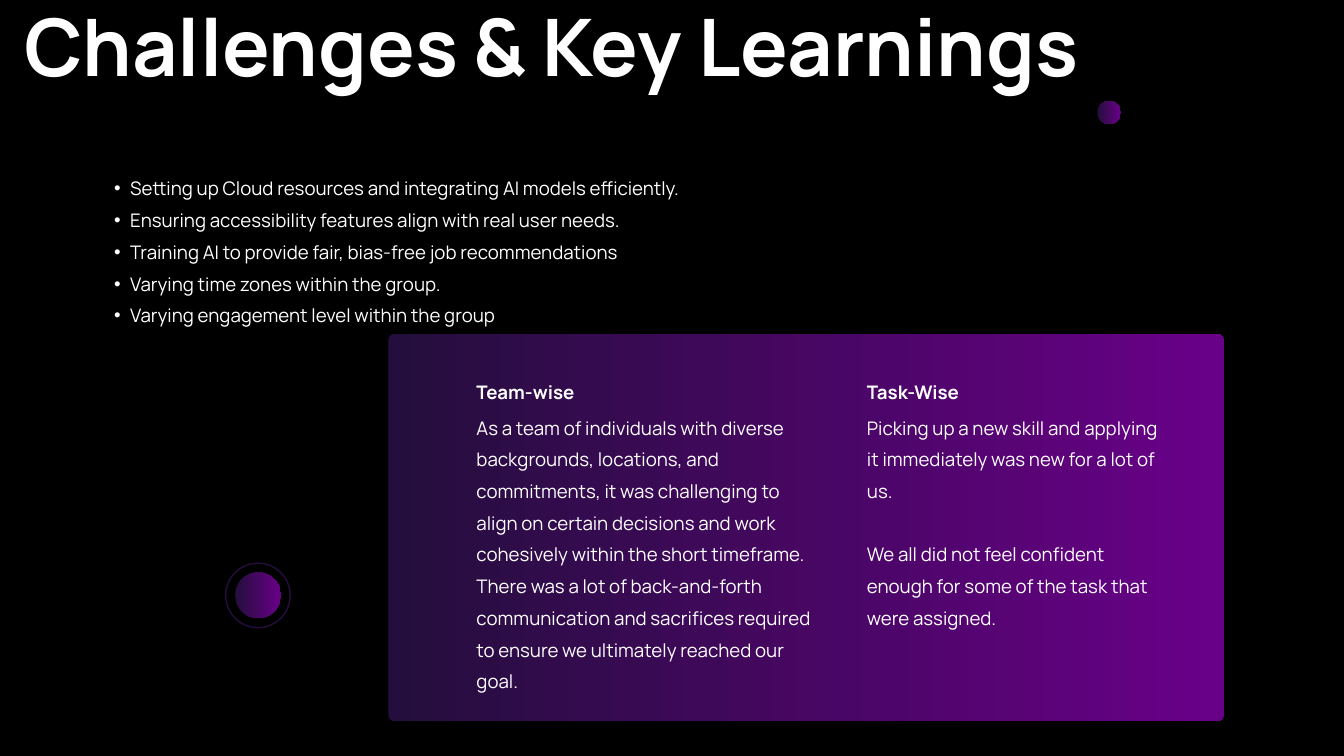
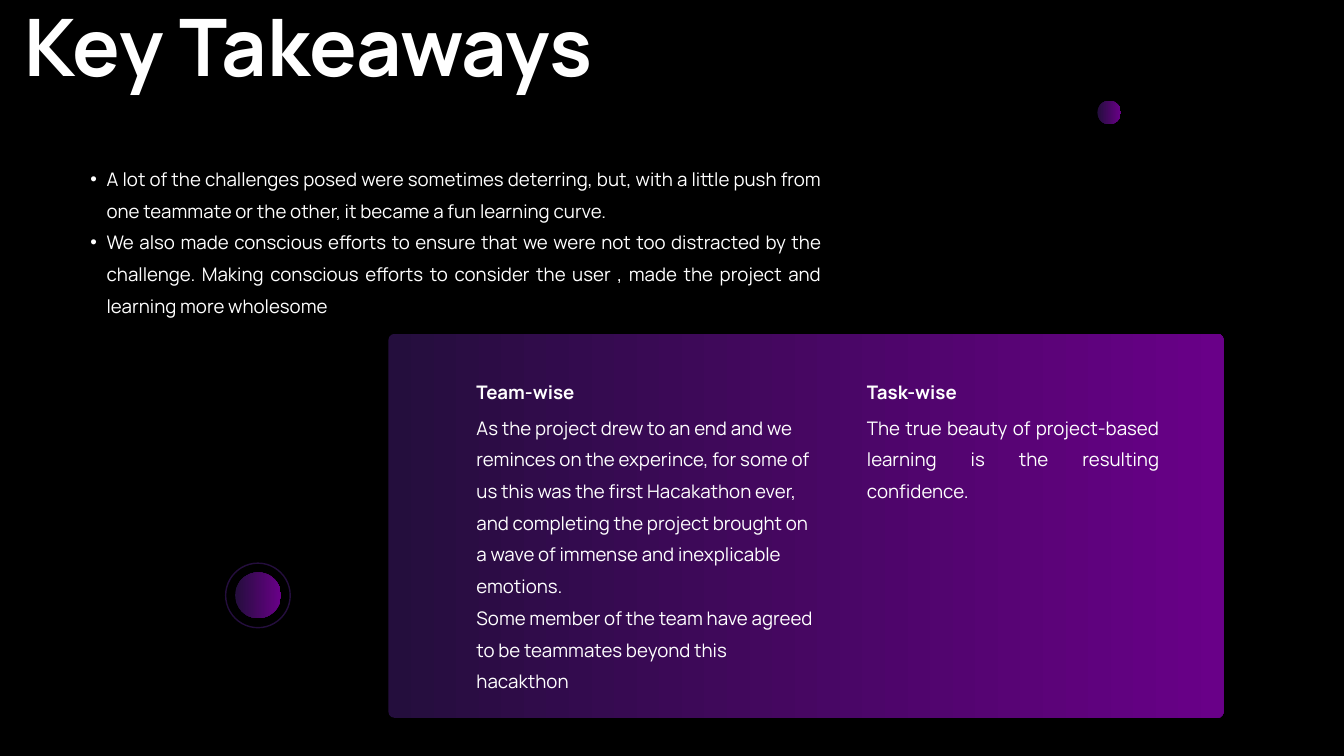
from lxml import etree
from pptx import Presentation
from pptx.dml.color import RGBColor
from pptx.enum.shapes import MSO_SHAPE
from pptx.enum.text import MSO_ANCHOR, MSO_AUTO_SIZE, PP_ALIGN
from pptx.oxml.ns import qn
from pptx.util import Cm, Pt

BLACK = RGBColor(0x00, 0x00, 0x00)
WHITE = RGBColor(0xFF, 0xFF, 0xFF)
INDIGO = RGBColor(0x24, 0x0E, 0x3D)
PURPLE = RGBColor(0x69, 0x00, 0x88)
FONT = "Manrope"
LEFT, JUSTIFY = PP_ALIGN.LEFT, PP_ALIGN.JUSTIFY
TOP, NO_FIT = MSO_ANCHOR.TOP, MSO_AUTO_SIZE.NONE
OVAL, ROUNDED = MSO_SHAPE.OVAL, MSO_SHAPE.ROUNDED_RECTANGLE

COLUMN_LEFTS = (18.01, 32.77)
COLUMN_WIDTHS = (13.08, 11.05)
HEADING_TOP, HEADING_HEIGHT = 14.27, 0.99
PASSAGE_TOP = 15.39
PANEL_RADIUS = 0.24

SLIDES = [
    {
        "title": "Challenges & Key Learnings",
        "points": [
            "Setting up Cloud resources and integrating AI models efficiently.",
            "Ensuring accessibility features align with real user needs.",
            "Training AI to provide fair, bias-free job recommendations",
            "Varying time zones within the group.",
            "Varying engagement level within the group",
        ],
        "points_box": (3.73, 6.35, 25.53, 7.14),
        "panel_height": 14.65,
        # heading, heading width, passages, passage height, alignment, gap in points
        "columns": [
            ("Team-wise", 6.86, [
                "As a team of individuals with diverse backgrounds, locations, and "
                "commitments, it was challenging to align on certain decisions and work "
                "cohesively within the short timeframe. There was a lot of back-and-forth "
                "communication and sacrifices required to ensure we ultimately reached "
                "our goal.",
            ], 10.72, LEFT, 0),
            ("Task-Wise", 5.13, [
                "Picking up a new skill and applying it immediately was new for a lot of us.",
                "We all did not feel confident enough for some of the task that were "
                "assigned.",
            ], 8.33, LEFT, 34),
        ],
    },
    {
        "title": "Key Takeaways",
        "points": [
            "A lot of the challenges posed were sometimes deterring, but, with a little "
            "push from one teammate or the other, it became a fun learning curve.",
            "We also made conscious efforts to ensure that we were not too distracted by "
            "the challenge. Making conscious efforts to consider the user , made the "
            "project and learning more wholesome",
        ],
        "points_box": (2.84, 5.99, 28.22, 5.94),
        "panel_height": 14.52,
        "columns": [
            ("Team-wise", 6.02, [
                "As the project drew to an end and we reminces on the experince, for some "
                "of us this was the first Hacakathon ever, and completing the project "
                "brought on a wave of immense and inexplicable emotions.",
                "Some member of the team have agreed to be teammates beyond this hacakthon",
            ], 10.72, LEFT, 0),
            ("Task-wise", 5.54, [
                "The true beauty of project-based learning is the resulting confidence.",
            ], 3.56, JUSTIFY, 0),
        ],
    },
]


def write(holder, paragraphs, box, size=20, spacing=34, bold=False, align=LEFT,
          gap=0, bullet=False):
    """Place a placeholder or text box and fill it with formatted paragraphs."""
    holder.left, holder.top, holder.width, holder.height = map(Cm, box)
    frame = holder.text_frame
    frame.margin_left = frame.margin_top = frame.margin_right = frame.margin_bottom = 0
    frame.word_wrap = True
    frame.auto_size = NO_FIT
    frame.vertical_anchor = TOP
    for number, words in enumerate(paragraphs):
        paragraph = frame.add_paragraph() if number else frame.paragraphs[0]
        if bullet:
            paragraph.level = 1
            properties = paragraph._p.get_or_add_pPr()
            properties.set("marL", str(Cm(1.19)))
            properties.set("indent", str(Cm(-0.61)))
            etree.SubElement(properties, qn("a:buFont")).set("typeface", "Arial")
            etree.SubElement(properties, qn("a:buChar")).set("char", "•")
        paragraph.alignment = align
        paragraph.line_spacing = Pt(spacing)
        paragraph.space_before = Pt(gap if number else 0)
        paragraph.space_after = Pt(0)
        run = paragraph.add_run()
        run.text = words
        run.font.name = FONT
        run.font.size = Pt(size)
        run.font.bold = bold
        run.font.color.rgb = WHITE


def add_gradient_shape(slide, preset, box, outline=False):
    """Add a shape whose fill, or outline, runs from indigo to purple."""
    shape = slide.shapes.add_shape(preset, *map(Cm, box))
    shape.shadow.inherit = False
    if outline:
        shape.fill.background()
        shape.line.width = Pt(1.5)
        shape.line.fill.solid()
    else:
        shape.line.fill.background()
        shape.fill.solid()
    gradient = etree.Element(qn("a:gradFill"), rotWithShape="1")
    stops = etree.SubElement(gradient, qn("a:gsLst"))
    for position, color in (("0", INDIGO), ("100000", PURPLE)):
        stop = etree.SubElement(stops, qn("a:gs"), pos=position)
        etree.SubElement(stop, qn("a:srgbClr"), val=str(color))
    etree.SubElement(gradient, qn("a:lin"), ang="0", scaled="0")
    solid = next(shape._element.spPr.iter(qn("a:solidFill")))
    solid.getparent().replace(solid, gradient)
    return shape


prs = Presentation()
prs.slide_width, prs.slide_height = Cm(50.8), Cm(28.58)
backdrop = prs.slide_master.background.fill
backdrop.solid()
backdrop.fore_color.rgb = BLACK

for content in SLIDES:
    slide = prs.slides.add_slide(prs.slide_layouts[1])
    write(slide.shapes.title, [content["title"]], (0.91, 0.3, 46.25, 3.51),
          size=85, spacing=90.9, bold=True)
    write(slide.placeholders[1], content["points"], content["points_box"],
          align=JUSTIFY, bullet=True)

    height = content["panel_height"]
    panel = add_gradient_shape(slide, ROUNDED, (14.68, 12.62, 31.57, height))
    panel.adjustments[0] = PANEL_RADIUS / height

    for left, width, column in zip(COLUMN_LEFTS, COLUMN_WIDTHS, content["columns"]):
        heading, heading_width, passages, passage_height, align, gap = column
        write(slide.shapes.add_textbox(0, 0, 0, 0), passages,
              (left, PASSAGE_TOP, width, passage_height), align=align, gap=gap)
        write(slide.shapes.add_textbox(0, 0, 0, 0), [heading],
              (left, HEADING_TOP, heading_width, HEADING_HEIGHT), spacing=28, bold=True)

    add_gradient_shape(slide, OVAL, (8.53, 21.29, 2.44, 2.44), outline=True)
    add_gradient_shape(slide, OVAL, (8.89, 21.64, 1.73, 1.73))
    add_gradient_shape(slide, OVAL, (41.48, 3.81, 0.89, 0.89))

prs.save("out.pptx")
